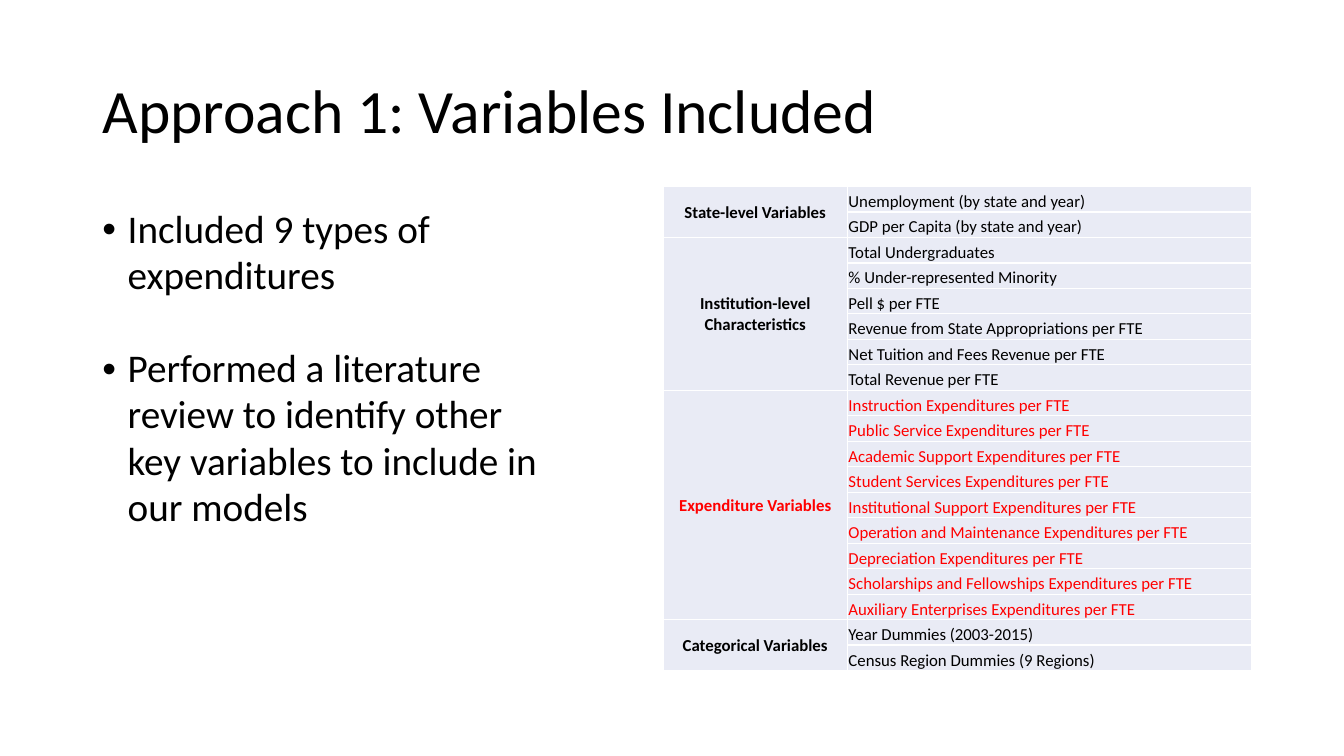
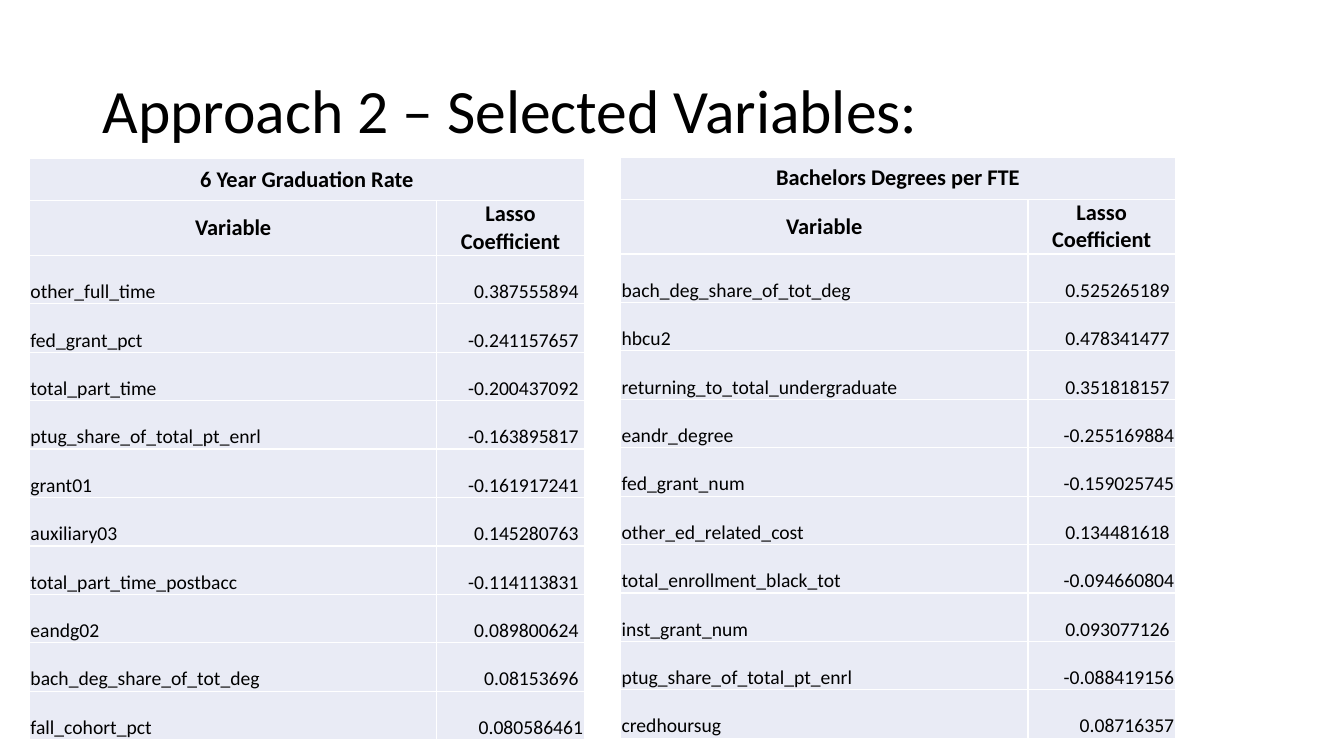
from dataclasses import dataclass
from typing import Any, NamedTuple

import lxml.etree
import pptx
import pptx.dml.color
import pptx.enum.text
import pptx.oxml.ns
import pptx.presentation
import pptx.shapes.base
import pptx.slide
import pptx.table
import pptx.text.text
import pptx.util

Pt = pptx.util.Pt
RGBColor = pptx.dml.color.RGBColor
ALIGN = pptx.enum.text.PP_ALIGN
ANCHOR = pptx.enum.text.MSO_ANCHOR

BLACK = RGBColor(0x00, 0x00, 0x00)
RED = RGBColor(0xFF, 0x00, 0x00)
WHITE = RGBColor(0xFF, 0xFF, 0xFF)
PALE_BLUE = RGBColor(0xE9, 0xEB, 0xF5)

FONT = "Calibri"
TITLE_AND_CONTENT, TITLE_ONLY = 1, 5


class Box(NamedTuple):
    left: float
    top: float
    width: float
    height: float


class VariableGroup(NamedTuple):
    name: str
    variables: list[str]
    color: RGBColor = BLACK


class Coefficient(NamedTuple):
    variable: str
    value: str


class LassoTable(NamedTuple):
    outcome: str
    left: float
    top: float
    coefficients: list[Coefficient]


@dataclass(frozen=True)
class CellStyle:
    size: float
    bold: bool = False
    align: ALIGN = ALIGN.LEFT
    anchor: ANCHOR = ANCHOR.BOTTOM
    margin: float = 0.7


GROUP_NAME = CellStyle(12, True, ALIGN.CENTER, ANCHOR.MIDDLE)
GROUP_VARIABLE = CellStyle(12)
LASSO_HEADER = CellStyle(16, True, ALIGN.CENTER, ANCHOR.MIDDLE, 0)
LASSO_VARIABLE = CellStyle(14)
LASSO_VALUE = CellStyle(14, align=ALIGN.RIGHT)

TITLE_BOX = Box(66, 28.8, 828, 104.4)
BULLET_BOX = Box(66, 144, 337, 342.7)
BULLET_INDENT = 18
BULLET_LINE = 33.6

GROUP_TABLE_LEFT, GROUP_TABLE_TOP = 473.6, 133.2
GROUP_COLUMNS = [131.8, 288.6]
GROUP_ROW = 18.22

LASSO_COLUMNS = [291, 105.2]
LASSO_HEADER_ROWS = [30, 39.1]
LASSO_ROW = 34.6

BULLETS = [
    "Included 9 types of expenditures",
    "Performed a literature review to identify other key variables to include in our models",
]

VARIABLE_GROUPS = [
    VariableGroup("State-level Variables", [
        "Unemployment (by state and year)",
        "GDP per Capita (by state and year)",
    ]),
    VariableGroup("Institution-level Characteristics", [
        "Total Undergraduates",
        "% Under-represented Minority",
        "Pell $ per FTE",
        "Revenue from State Appropriations per FTE",
        "Net Tuition and Fees Revenue per FTE",
        "Total Revenue per FTE",
    ]),
    VariableGroup("Expenditure Variables", [
        f"{purpose} Expenditures per FTE" for purpose in (
            "Instruction", "Public Service", "Academic Support",
            "Student Services", "Institutional Support",
            "Operation and Maintenance", "Depreciation",
            "Scholarships and Fellowships", "Auxiliary Enterprises",
        )
    ], RED),
    VariableGroup("Categorical Variables", [
        "Year Dummies (2003-2015)",
        "Census Region Dummies (9 Regions)",
    ]),
]

LASSO_TABLES = [
    LassoTable("6 Year Graduation Rate", 21.1, 113.3, [
        Coefficient("other_full_time", "0.387555894 "),
        Coefficient("fed_grant_pct", "-0.241157657 "),
        Coefficient("total_part_time", "-0.200437092 "),
        Coefficient("ptug_share_of_total_pt_enrl", "-0.163895817 "),
        Coefficient("grant01", "-0.161917241 "),
        Coefficient("auxiliary03", "0.145280763 "),
        Coefficient("total_part_time_postbacc", "-0.114113831 "),
        Coefficient("eandg02", "0.089800624 "),
        Coefficient("bach_deg_share_of_tot_deg", "0.08153696 "),
        Coefficient("fall_cohort_pct", "0.080586461"),
    ]),
    LassoTable("Bachelors Degrees per FTE", 443.3, 112.3, [
        Coefficient("bach_deg_share_of_tot_deg", "0.525265189 "),
        Coefficient("hbcu2", "0.478341477 "),
        Coefficient("returning_to_total_undergraduate", "0.351818157 "),
        Coefficient("eandr_degree", "-0.255169884"),
        Coefficient("fed_grant_num", "-0.159025745"),
        Coefficient("other_ed_related_cost", "0.134481618 "),
        Coefficient("total_enrollment_black_tot", "-0.094660804"),
        Coefficient("inst_grant_num", "0.093077126 "),
        Coefficient("ptug_share_of_total_pt_enrl", "-0.088419156"),
        Coefficient("credhoursug", "0.08716357"),
    ]),
]


def set_values(target: Any, values: dict[str, Any]) -> None:
    for name, value in values.items():
        setattr(target, name, value)


def place(shape: pptx.shapes.base.BaseShape, box: Box) -> None:
    set_values(shape, {name: Pt(length) for name, length in box._asdict().items()})


def write(para: pptx.text.text._Paragraph, text: str, size: float,
          color: RGBColor = BLACK, bold: bool = False) -> None:
    span = para.add_run()
    span.text = text
    set_values(span.font, {"name": FONT, "size": Pt(size), "bold": bold})
    span.font.color.rgb = color


def add_slide(deck: pptx.presentation.Presentation, layout: int,
              title: str) -> pptx.slide.Slide:
    slide = deck.slides.add_slide(deck.slide_layouts[layout])
    box = slide.shapes.title
    place(box, TITLE_BOX)
    set_values(box.text_frame, {
        "vertical_anchor": ANCHOR.MIDDLE,
        "auto_size": pptx.enum.text.MSO_AUTO_SIZE.NONE,
    })
    para = box.text_frame.paragraphs[0]
    set_values(para, {"alignment": ALIGN.LEFT, "line_spacing": 0.9})
    write(para, title, 44)
    return slide


def fill_bullets(box: pptx.shapes.base.BaseShape, bullets: list[str]) -> None:
    """Write the bullets with one empty line's height between them."""
    place(box, BULLET_BOX)
    frame = box.text_frame
    frame.auto_size = pptx.enum.text.MSO_AUTO_SIZE.NONE
    for index, text in enumerate(bullets):
        para = frame.add_paragraph() if index else frame.paragraphs[0]
        set_values(para, {
            "line_spacing": 0.98,
            "space_before": Pt(BULLET_LINE if index else 0),
        })
        properties = para._p.get_or_add_pPr()
        properties.set("marL", str(Pt(BULLET_INDENT)))
        properties.set("indent", str(-Pt(BULLET_INDENT)))
        write(para, text, 28)


def add_borders(cell: pptx.table._Cell) -> None:
    qn = pptx.oxml.ns.qn
    properties = cell._tc.get_or_add_tcPr()
    for side in ("a:lnL", "a:lnR", "a:lnT", "a:lnB"):
        line = lxml.etree.SubElement(properties, qn(side), w=str(Pt(1)))
        fill = lxml.etree.SubElement(line, qn("a:solidFill"))
        lxml.etree.SubElement(fill, qn("a:srgbClr"), val=str(WHITE))


def add_table(slide: pptx.slide.Slide, left: float, top: float,
              columns: list[float], rows: list[float]) -> pptx.table.Table:
    """Add an empty table whose cells are pale blue with white borders."""
    frame = slide.shapes.add_table(
        len(rows), len(columns), Pt(left), Pt(top), Pt(sum(columns)), Pt(sum(rows)))
    table = frame.table
    set_values(table, {"first_row": False, "horz_banding": False})
    for column, width in zip(table.columns, columns):
        column.width = Pt(width)
    for row, height in zip(table.rows, rows):
        row.height = Pt(height)
    for cell in table.iter_cells():
        add_borders(cell)
        cell.fill.solid()
        cell.fill.fore_color.rgb = PALE_BLUE
    return table


def write_cell(cell: pptx.table._Cell, text: str, style: CellStyle,
               color: RGBColor = BLACK) -> None:
    set_values(cell, {
        "vertical_anchor": style.anchor,
        "margin_left": Pt(style.margin),
        "margin_right": Pt(style.margin),
        "margin_top": Pt(style.margin),
        "margin_bottom": Pt(0),
    })
    para = cell.text_frame.paragraphs[0]
    para.alignment = style.align
    write(para, text, style.size, color, style.bold)


def add_group_table(slide: pptx.slide.Slide, groups: list[VariableGroup]) -> None:
    row_count = sum(len(group.variables) for group in groups)
    table = add_table(slide, GROUP_TABLE_LEFT, GROUP_TABLE_TOP,
                      GROUP_COLUMNS, [GROUP_ROW] * row_count)
    first = 0
    for group in groups:
        last = first + len(group.variables) - 1
        table.cell(first, 0).merge(table.cell(last, 0))
        write_cell(table.cell(first, 0), group.name, GROUP_NAME, group.color)
        for row, variable in enumerate(group.variables, first):
            write_cell(table.cell(row, 1), variable, GROUP_VARIABLE, group.color)
        first = last + 1


def add_lasso_table(slide: pptx.slide.Slide, lasso: LassoTable) -> None:
    heights = LASSO_HEADER_ROWS + [LASSO_ROW] * len(lasso.coefficients)
    table = add_table(slide, lasso.left, lasso.top, LASSO_COLUMNS, heights)
    table.cell(0, 0).merge(table.cell(0, 1))
    write_cell(table.cell(0, 0), lasso.outcome, LASSO_HEADER)
    for column, heading in enumerate(("Variable", "Lasso Coefficient")):
        write_cell(table.cell(1, column), heading, LASSO_HEADER)
    for row, coefficient in enumerate(lasso.coefficients, len(LASSO_HEADER_ROWS)):
        write_cell(table.cell(row, 0), coefficient.variable, LASSO_VARIABLE)
        write_cell(table.cell(row, 1), coefficient.value, LASSO_VALUE)


def main() -> None:
    deck = pptx.Presentation()
    set_values(deck, {"slide_width": Pt(960), "slide_height": Pt(540)})

    included = add_slide(deck, TITLE_AND_CONTENT, "Approach 1: Variables Included")
    fill_bullets(included.placeholders[1], BULLETS)
    add_group_table(included, VARIABLE_GROUPS)

    selected = add_slide(deck, TITLE_ONLY, "Approach 2 – Selected Variables:")
    for lasso in LASSO_TABLES:
        add_lasso_table(selected, lasso)

    deck.save("out.pptx")


if __name__ == "__main__":
    main()
